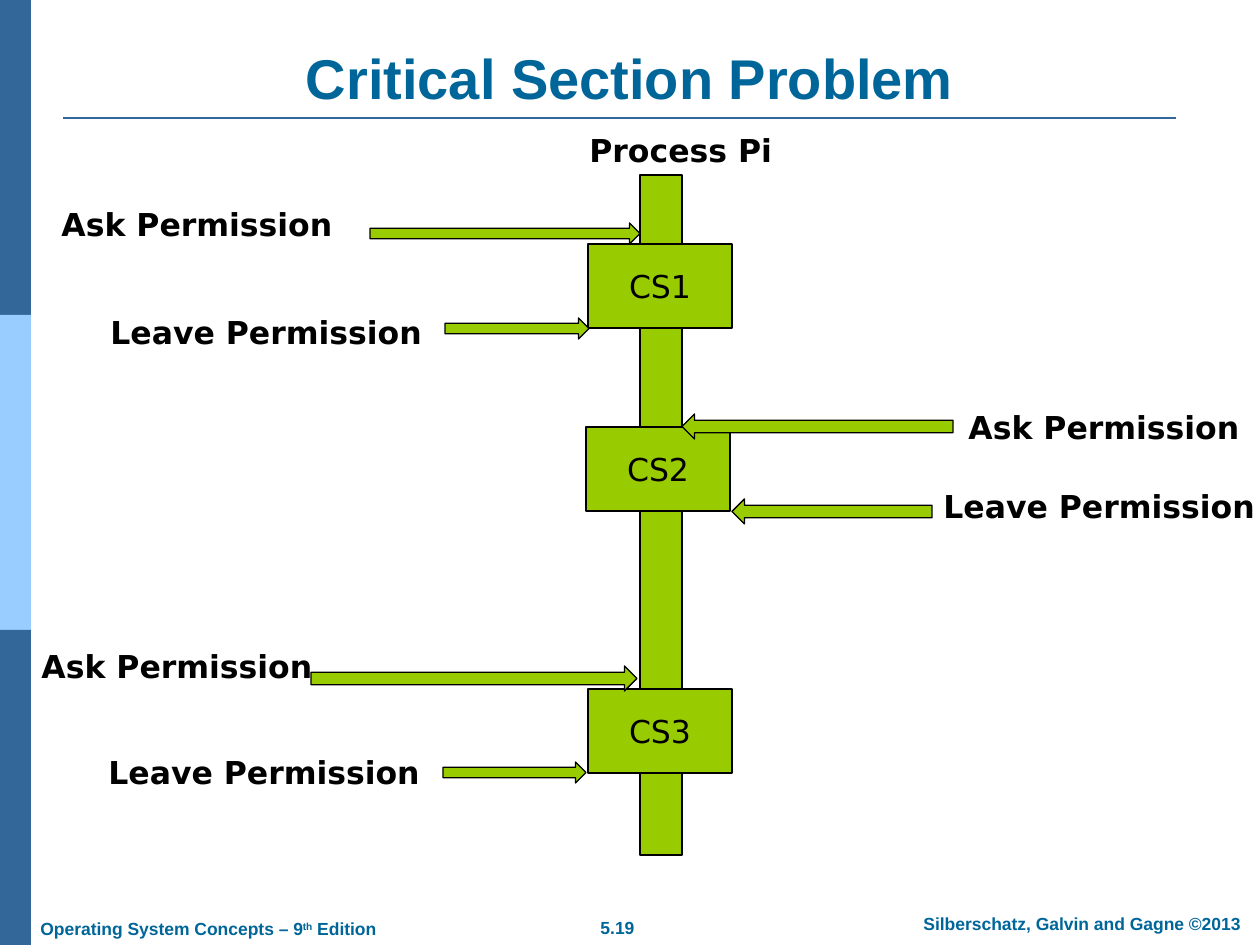
from dataclasses import dataclass

from lxml import etree
from pptx import Presentation
from pptx.dml.color import RGBColor
from pptx.enum.shapes import MSO_CONNECTOR, MSO_SHAPE
from pptx.enum.text import MSO_ANCHOR, PP_ALIGN
from pptx.oxml.ns import qn
from pptx.util import Pt

RECTANGLE = MSO_SHAPE.RECTANGLE
RIGHT, LEFT = MSO_SHAPE.RIGHT_ARROW, MSO_SHAPE.LEFT_ARROW
ALIGN_LEFT, CENTER = PP_ALIGN.LEFT, PP_ALIGN.CENTER
TOP, MIDDLE, BOTTOM = MSO_ANCHOR.TOP, MSO_ANCHOR.MIDDLE, MSO_ANCHOR.BOTTOM


@dataclass(frozen=True)
class Theme:
    navy: str = "336699"
    sky: str = "99CCFF"
    heading: str = "006699"
    green: str = "99CC00"
    ink: str = "000000"
    heading_font: str = "Arial"
    body_font: str = "DejaVu Sans"
    title_size: int = 32
    body_size: int = 18
    footer_size: int = 10


THEME = Theme()
SCALE = 914400 / 126
SLIDE_WIDTH, SLIDE_HEIGHT = 1260, 945
BAND_WIDTH, BAND_HEIGHT = 31, SLIDE_HEIGHT // 3
SECTION_WIDTH, SECTION_HEIGHT = 144, 84
LABEL_HEIGHT, FOOTER_HEIGHT = 50, 34

TITLE = ("Critical Section Problem", (63, 38, 1134, 79))
RULE = (63, 118, 1176, 118)
BANDS = [THEME.navy, THEME.sky, THEME.navy]
TIMELINE = (640, 175, 42, 680)
SECTIONS = [("CS1", 588, 244), ("CS2", 586, 427), ("CS3", 588, 689)]
LABELS = [
    ("Process Pi", 577, 125, 239),
    ("Ask Permission", 49, 199, 321),
    ("Leave Permission", 98, 307, 348),
    ("Ask Permission", 956, 402, 321),
    ("Leave Permission", 931, 481, 348),
    ("Ask Permission", 29, 641, 321),
    ("Leave Permission", 96, 747, 348),
]
ARROWS = [
    (RIGHT, 370, 223, 270, 21),
    (RIGHT, 445, 318, 144, 21),
    (LEFT, 682, 414, 271, 25),
    (LEFT, 732, 499, 200, 25),
    (RIGHT, 311, 666, 326, 25),
    (RIGHT, 443, 762, 143, 21),
]
FOOTERS = [
    ([("Operating System Concepts – 9", False), ("th", True), (" Edition", False)],
     28, 912, 370, ALIGN_LEFT),
    ([("5.19", False)], 555, 911, 125, CENTER),
    ([("Silberschatz, Galvin and Gagne ©2013", False)], 895, 907, 374, CENTER),
]


def emu(*lengths):
    return [round(length * SCALE) for length in lengths]


def add_block(page, kind, bounds, fill, outline=None):
    block = page.shapes.add_shape(kind, *emu(*bounds))
    block.shadow.inherit = False
    block.fill.solid()
    block.fill.fore_color.rgb = RGBColor.from_string(fill)
    if outline:
        block.line.color.rgb = RGBColor.from_string(outline)
        block.line.width = Pt(0.75)
    else:
        block.line.fill.background()
    return block


def write(box, spans, size, font, color, bold=True, align=ALIGN_LEFT, anchor=TOP):
    frame = box.text_frame
    frame.word_wrap = True
    frame.vertical_anchor = anchor
    para = frame.paragraphs[0]
    para.alignment = align
    for text, raised in spans:
        span = para.add_run()
        span.text = text
        span.font.size = Pt(size)
        span.font.name = font
        span.font.bold = bold
        span.font.color.rgb = RGBColor.from_string(color)
        if raised:
            span.font._element.set("baseline", "30000")


def add_text(page, bounds, spans, *style, **options):
    write(page.shapes.add_textbox(*emu(*bounds)), spans, *style, **options)


def main():
    deck = Presentation()
    deck.slide_width, deck.slide_height = emu(SLIDE_WIDTH, SLIDE_HEIGHT)
    page = deck.slides.add_slide(deck.slide_layouts[6])

    for index, color in enumerate(BANDS):
        bounds = (0, index * BAND_HEIGHT, BAND_WIDTH, BAND_HEIGHT)
        add_block(page, RECTANGLE, bounds, color)

    rule = page.shapes.add_connector(MSO_CONNECTOR.STRAIGHT, *emu(*RULE))
    rule.line.color.rgb = RGBColor.from_string(THEME.navy)
    rule.line.width = Pt(1.5)
    etree.SubElement(rule._element.spPr, qn("a:effectLst"))

    for spans, left, top, width, align in FOOTERS:
        add_text(page, (left, top, width, FOOTER_HEIGHT), spans, THEME.footer_size,
                 THEME.heading_font, THEME.heading, align=align)

    title, bounds = TITLE
    add_text(page, bounds, [(title, False)], THEME.title_size,
             THEME.heading_font, THEME.heading, align=CENTER, anchor=BOTTOM)

    add_block(page, RECTANGLE, TIMELINE, THEME.green, THEME.ink)
    for name, left, top in SECTIONS:
        bounds = (left, top, SECTION_WIDTH, SECTION_HEIGHT)
        section = add_block(page, RECTANGLE, bounds, THEME.green, THEME.ink)
        write(section, [(name, False)], THEME.body_size, THEME.body_font, THEME.ink,
              bold=False, align=CENTER, anchor=MIDDLE)

    for kind, *bounds in ARROWS:
        add_block(page, kind, bounds, THEME.green, THEME.ink)

    for text, left, top, width in LABELS:
        add_text(page, (left, top, width, LABEL_HEIGHT), [(text, False)],
                 THEME.body_size, THEME.body_font, THEME.ink)

    deck.save("out.pptx")


if __name__ == "__main__":
    main()
